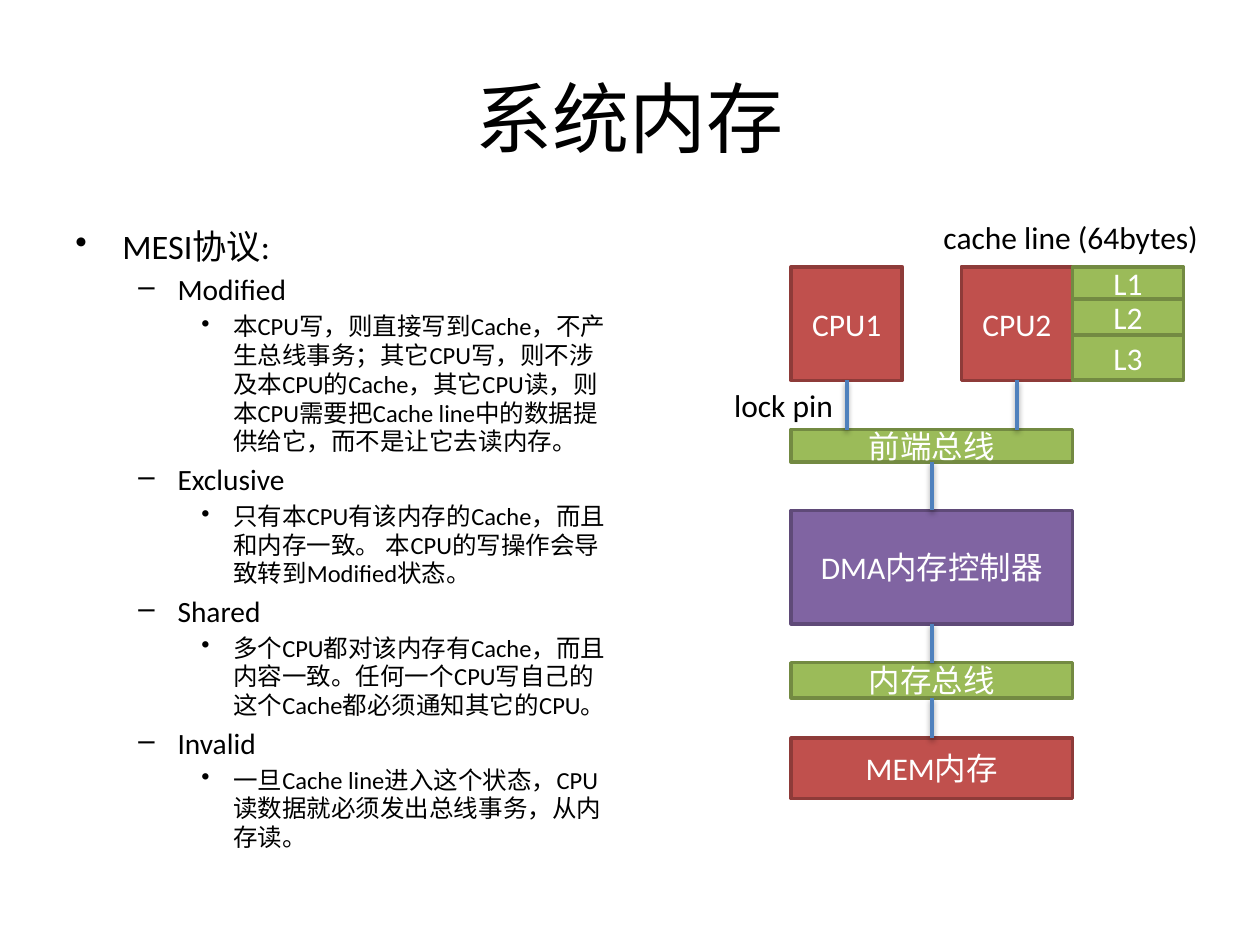
import pptx
import pptx.util
import pptx.dml.color
import pptx.enum.shapes
import pptx.enum.text
import pptx.oxml
import pptx.oxml.ns
import lxml.etree

Cm = pptx.util.Cm
Pt = pptx.util.Pt
ANCHOR = pptx.enum.text.MSO_ANCHOR
ALIGN = pptx.enum.text.PP_ALIGN
COLORS = {
    "text": "000000", "light": "FFFFFF", "wire": "4F81BD",
    "red": "C0504D", "red_edge": "8E3B39",
    "green": "9BBB59", "green_edge": "738A42",
    "purple": "8064A2", "purple_edge": "5F4A78",
}
# Outline levels: bullet, size (pt), left margin (cm), hanging indent (cm)
LEVELS = [("•", 19.6, 0.95, 0.95), ("–", 16.8, 2.06, 0.79), ("•", 14, 3.18, 0.64)]
SHADOW = (
    '<a:effectLst %s><a:outerShdw blurRad="%d" dist="%d" dir="5400000" rotWithShape="0">'
    '<a:srgbClr val="%s"><a:alpha val="38000"/></a:srgbClr></a:outerShdw></a:effectLst>'
    % (pptx.oxml.ns.nsdecls("a"), Pt(3.1), Pt(1.6), COLORS["text"])
)


def rgb(name):
    return pptx.dml.color.RGBColor.from_string(COLORS[name])


def apply(target, formats):
    for attribute, value in formats.items():
        setattr(target, attribute, value)


class SlideBuilder:
    def __init__(self, slide, font="Calibri"):
        self.slide = slide
        self.font = font

    def add_words(self, paragraph, text, size, color="text", **formats):
        run = paragraph.add_run()
        run.text = text
        apply(run.font, {"name": self.font, "size": Pt(size)})
        run.font.color.rgb = rgb(color)
        apply(paragraph, formats)

    def frame(self, left, top, width, height, **formats):
        box = self.slide.shapes.add_textbox(Cm(left), Cm(top), Cm(width), Cm(height))
        apply(box.text_frame, formats)
        return box.text_frame

    def title(self, text, *place):
        frame = self.frame(*place, word_wrap=True, vertical_anchor=ANCHOR.MIDDLE)
        self.add_words(frame.paragraphs[0], text, 44, alignment=ALIGN.CENTER)

    def label(self, text, *place):
        frame = self.frame(*place, word_wrap=False)
        self.add_words(frame.paragraphs[0], text, 18)

    def outline(self, items, *place):
        frame = self.frame(*place, word_wrap=True)
        for index, (level, text) in enumerate(items):
            paragraph = frame.add_paragraph() if index else frame.paragraphs[0]
            bullet, size, margin, hanging = LEVELS[level]
            self.add_words(paragraph, text, size, level=level, line_spacing=0.98,
                           space_before=Pt(0.2 * size))
            properties = paragraph._p.get_or_add_pPr()
            properties.set("marL", str(Cm(margin)))
            properties.set("indent", str(-Cm(hanging)))
            mark = lxml.etree.SubElement(properties, pptx.oxml.ns.qn("a:buChar"))
            mark.set("char", bullet)

    def block(self, text, color, left, top, width, height):
        block = self.slide.shapes.add_shape(
            pptx.enum.shapes.MSO_SHAPE.RECTANGLE, Cm(left), Cm(top), Cm(width), Cm(height))
        block.shadow.inherit = False
        block.fill.solid()
        block.fill.fore_color.rgb = rgb(color)
        block.line.color.rgb = rgb(color + "_edge")
        block.line.width = Pt(2)
        apply(block.text_frame, {"word_wrap": True, "vertical_anchor": ANCHOR.MIDDLE})
        self.add_words(block.text_frame.paragraphs[0], text, 18, "light",
                       alignment=ALIGN.CENTER)
        return block

    def wire(self, upper, lower, join_lower=True):
        """Drop a vertical line from the bottom of one block to the top of another."""
        center = upper.left + upper.width // 2
        wire = self.slide.shapes.add_connector(
            pptx.enum.shapes.MSO_CONNECTOR.STRAIGHT,
            center, upper.top + upper.height, center, lower.top)
        wire.begin_connect(upper, 2)
        if join_lower:
            wire.end_connect(lower, 0)
        wire.line.color.rgb = rgb("wire")
        wire.line.width = Pt(2)
        wire._element.spPr.append(pptx.oxml.parse_xml(SHADOW))


def main():
    deck = pptx.Presentation()
    deck.slide_width, deck.slide_height = Cm(25.4), Cm(19.05)
    builder = SlideBuilder(deck.slides.add_slide(deck.slide_layouts[6]))

    # Title and protocol states
    builder.title("系统内存", 1.27, 0.76, 22.86, 3.18)
    states = {
        "Modified": "本CPU写，则直接写到Cache，不产生总线事务；其它CPU写，则不涉及本CPU的Cache，"
                    "其它CPU读，则本CPU需要把Cache line中的数据提供给它，而不是让它去读内存。",
        "Exclusive": "只有本CPU有该内存的Cache，而且和内存一致。 本CPU的写操作会导致转到Modified状态。",
        "Shared": "多个CPU都对该内存有Cache，而且内容一致。任何一个CPU写自己的这个Cache都必须通知其它的CPU。",
        "Invalid": "一旦Cache line进入这个状态，CPU读数据就必须发出总线事务，从内存读。",
    }
    items = [(0, "MESI协议:")]
    for state, meaning in states.items():
        items += [(1, state), (2, meaning)]
    builder.outline(items, 1.27, 4.45, 11.23, 12.57)

    # Processors and the cache levels beside the second one
    column, column_width, cpu_top, cpu_size = 15.95, 5.67, 5.38, 2.24
    cpu_lefts = {"CPU1": column, "CPU2": column + column_width - cpu_size}
    cpus = [builder.block(name, "red", left, cpu_top, cpu_size, 2.29)
            for name, left in cpu_lefts.items()]
    cache_top = cpu_top
    for cache, height in [("L1", 0.65), ("L2", 0.73), ("L3", 0.9)]:
        builder.block(cache, "green", column + column_width, cache_top, cpu_size, height)
        cache_top += height

    # Path from the front-side bus down to memory
    stages = [
        ("前端总线", "green", 8.66, 0.66),
        ("DMA内存控制器", "purple", 10.29, 2.29),
        ("内存总线", "green", 13.36, 0.71),
        ("MEM内存", "red", 14.88, 1.22),
    ]
    chain = [builder.block(name, color, column, top, column_width, height)
             for name, color, top, height in stages]
    for cpu in cpus:
        builder.wire(cpu, chain[0], join_lower=False)
    for upper, lower in zip(chain, chain[1:]):
        builder.wire(upper, lower)

    # Captions
    builder.label("lock pin", 14.55, 7.65, 2.51, 1.02)
    builder.label("cache line (64bytes)", 18.77, 4.27, 5.72, 1.02)

    deck.save("out.pptx")


if __name__ == "__main__":
    main()
